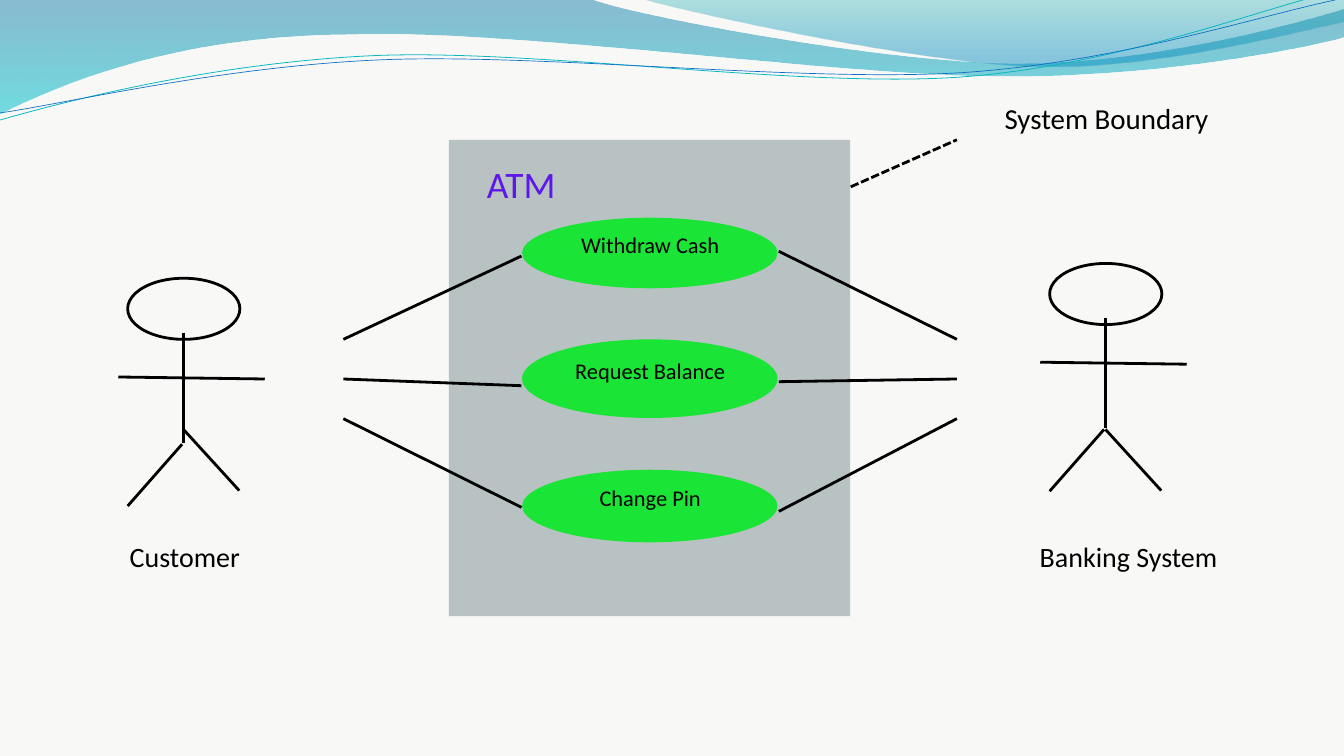
from dataclasses import dataclass
from math import cos, radians, sin

from lxml.etree import SubElement
from pptx import Presentation
from pptx.dml.color import RGBColor
from pptx.enum.dml import MSO_LINE_DASH_STYLE as Dash
from pptx.enum.shapes import MSO_CONNECTOR as Connector, MSO_SHAPE as Preset
from pptx.enum.text import MSO_ANCHOR as Anchor, MSO_AUTO_SIZE as AutoSize, PP_ALIGN as Align
from pptx.oxml.ns import qn
from pptx.util import Inches, Pt


@dataclass(frozen=True)
class Theme:
    font: str = "Calibri"
    paper: str = "F8F8F7"
    ink: str = "000000"
    system: str = "B8C2C3"
    use_case: str = "1AE435"
    title: str = "5E17EB"
    teal_line: str = "0AB8BF"
    blue_line: str = "0F6FC6"
    # Gradient stops: position in percent, colour, opacity in percent
    wide_wave: tuple = ((0, "0074A1", 45), (100, "00C6CF", 55))
    right_wave: tuple = ((0, "00A1A9", 30), (80, "008BBF", 45))
    title_size: int = 40
    boundary_size: int = 31
    actor_size: int = 30
    use_case_size: int = 24
    stroke: int = 3


def rgb(code):
    return RGBColor.from_string(code)


def turn(point, center, degrees):
    """Turn a point clockwise about a center."""
    dx, dy = point[0] - center[0], point[1] - center[1]
    c, s = cos(radians(degrees)), sin(radians(degrees))
    return center[0] + dx * c - dy * s, center[1] + dx * s + dy * c


def bend(shape, steps):
    """Join each run of three line segments into one cubic curve."""
    outline = next(shape.element.spPr.iter(qn("a:path")))
    segments = iter(outline.findall(qn("a:lnTo")))
    for step in steps:
        first, *others = [next(segments) for _ in step]
        if not others:
            continue
        first.tag = qn("a:cubicBezTo")
        for segment in others:
            first.append(segment[0])
            outline.remove(segment)


def write(box, text, *, size, font, color, spacing=1.2):
    para = box.text_frame.paragraphs[0]
    para.alignment = Align.CENTER
    para.line_spacing = Pt(size * spacing)
    span = para.add_run()
    span.text = text
    span.font.name = font
    span.font.size = Pt(size)
    span.font.color.rgb = rgb(color)


class Sketch:
    def __init__(self, page, theme):
        self.page, self.theme = page, theme
        page.background.fill.solid()
        page.background.fill.fore_color.rgb = rgb(theme.paper)

    def paint(self, shape, fill=None, line=None, width=None):
        shape.shadow.inherit = False
        if fill:
            shape.fill.solid()
            shape.fill.fore_color.rgb = rgb(fill)
        else:
            shape.fill.background()
        if line:
            shape.line.color.rgb = rgb(line)
            shape.line.width = Pt(width or self.theme.stroke)
        else:
            shape.line.fill.background()

    def shape(self, preset, left, top, width, height, **style):
        shape = self.page.shapes.add_shape(
            preset, Inches(left), Inches(top), Inches(width), Inches(height))
        self.paint(shape, **style)

    def curve(self, start, steps, close=False, gradient=None, tilt=0,
              center=(0, 0), **style):
        """Steps hold one point for a line and three for a cubic curve."""
        points = [start, *(point for step in steps for point in step)]
        first, *rest = [tuple(map(Inches, turn(point, center, -tilt))) for point in points]
        builder = self.page.shapes.build_freeform(*first)
        builder.add_line_segments(rest, close=close)
        shape = builder.convert_to_shape()
        shape.rotation = tilt
        bend(shape, steps)
        self.paint(shape, **style)
        if gradient:
            shape.fill.gradient()
            shape.fill.gradient_angle = 270
            for stop, (position, color, _) in zip(shape.fill.gradient_stops, gradient):
                stop.color.rgb = rgb(color)
                stop.position = position / 100
            colors = list(shape.element.spPr.iter(qn("a:srgbClr")))
            for node, (_, _, opacity) in zip(colors, gradient):
                SubElement(node, qn("a:alpha"), val=str(opacity * 1000))

    def line(self, start, end, dash=None):
        x1, y1, x2, y2 = map(Inches, (*start, *end))
        line = self.page.shapes.add_connector(Connector.STRAIGHT, x1, y1, x2, y2)
        line.line.color.rgb = rgb(self.theme.ink)
        line.line.width = Pt(self.theme.stroke)
        if dash:
            line.line.dash_style = dash
        SubElement(line.element.spPr, qn("a:effectLst"))

    def text(self, text, left, top, width, height, *, size, color=None,
             inset=0, anchor=Anchor.TOP, grow=True, spacing=1.2):
        box = self.page.shapes.add_textbox(
            Inches(left), Inches(top), Inches(width), Inches(height))
        frame = box.text_frame
        frame.word_wrap = True
        frame.auto_size = AutoSize.SHAPE_TO_FIT_TEXT if grow else AutoSize.NONE
        frame.vertical_anchor = anchor
        frame.margin_left = frame.margin_right = Inches(inset)
        frame.margin_top = frame.margin_bottom = Inches(inset)
        write(box, text, size=size, font=self.theme.font,
              color=color or self.theme.ink, spacing=spacing)

    def use_case(self, text, top, height):
        self.shape(Preset.OVAL, 7.77, top, 3.8, height, fill=self.theme.use_case)
        self.text(text, 8.13, top - 0.22, 3.09, height + 0.12,
                  size=self.theme.use_case_size, inset=0.06,
                  anchor=Anchor.MIDDLE, grow=False, spacing=1.4)

    def actor(self, left, top):
        """Stick figure placed by the top left corner of its head."""
        limbs = (((0, 3.39), (0.81, 2.47)),       # left leg
                 ((1.66, 7.3 - top), (0.83, 6.39 - top)),  # right leg, level for all
                 ((-0.14, 1.47), (2.04, 1.5)))    # arms
        self.line((left + 0.83, top + 0.81), (left + 0.83, top + 2.45))
        self.shape(Preset.OVAL, left, top, 1.67, 0.91, line=self.theme.ink)
        for (x1, y1), (x2, y2) in limbs:
            self.line((left + x1, top + y1), (left + x2, top + y2))


def main():
    theme = Theme()
    deck = Presentation()
    deck.slide_width, deck.slide_height = Inches(20), Inches(11.25)
    sketch = Sketch(deck.slides.add_slide(deck.slide_layouts[6]), theme)

    # Waves along the top
    sketch.curve((0, -0.01), [
        [(8.81, -0.01)],
        [(9.51, 0.25), (13.27, 0.94), (15.17, 0.94)],
        [(17.06, 0.94), (19.17, 0.38), (20, 0.13)],
        [(20.02, 0.54)],
        [(19.67, 0.66), (17.4, 1.14), (14.92, 1.13)],
        [(12.44, 1.13), (7.64, 0.42), (5.15, 0.51)],
        [(2.58, 0.53), (0.92, 1.24), (-0.02, 1.7)],
    ], close=True, gradient=theme.wide_wave)
    sketch.curve((9.58, -0.01), [
        [(10.19, 0.17), (13.64, 0.93), (15.38, 0.98)],
        [(17.11, 1.04), (19.23, 0.48), (20, 0.32)],
        [(20, 0)],
    ], close=True, gradient=theme.right_wave)
    sketch.curve((-0.01, 1.79), [
        [(0.96, 1.51), (3.16, 0.94), (5.53, 0.83)],
        [(7.91, 0.72), (11.84, 1.31), (14.25, 1.15)],
        [(16.65, 0.98), (18.77, 0.12), (19.96, -0.15)],
    ], tilt=-2.7, center=(9.98, 0.86), line=theme.teal_line, width=0.85)
    sketch.curve((0, 1.68), [
        [(0.94, 1.55), (3.28, 0.99), (5.67, 0.89)],
        [(8.05, 0.79), (11.94, 1.23), (14.33, 1.08)],
        [(16.72, 0.92), (18.83, 0.2), (20.01, -0.03)],
    ], tilt=-2.7, center=(10, 0.88), line=theme.blue_line, width=0.75)

    # System and its use cases
    sketch.shape(Preset.RECTANGLE, 6.68, 2.08, 5.97, 7.09, fill=theme.system)
    for name, top, height in (("Withdraw Cash", 3.24, 1.05),
                              ("Change Pin", 6.99, 1.08),
                              ("Request Balance", 5.05, 1.17)):
        sketch.use_case(name, top, height)

    # Actors
    for left, top in ((1.9, 4.14), (15.62, 3.92)):
        sketch.actor(left, top)
    for name, left, width in (("Customer", 1.14, 3.22), ("Banking System", 14.71, 4.17)):
        sketch.text(name, left, 8.03, width, 0.55, size=theme.actor_size)

    # Boundary label
    sketch.line((12.66, 2.78), (14.24, 2.08), dash=Dash.SQUARE_DOT)
    sketch.text("System Boundary", 13.81, 1.49, 5.31, 0.55, size=theme.boundary_size)

    # Links from actors to use cases
    actor_ends = (5.05, 5.64, 6.23)
    for actor_x, case_x, case_ends in ((5.11, 7.76, (3.81, 5.74, 7.55)),
                                       (14.24, 11.59, (3.74, 5.68, 7.61))):
        for actor_y, case_y in zip(actor_ends, case_ends):
            sketch.line(*sorted(((actor_x, actor_y), (case_x, case_y))))

    # System title
    sketch.text("ATM", 7.1, 2.4, 1.31, 0.71, size=theme.title_size, color=theme.title)

    deck.save("out.pptx")


if __name__ == "__main__":
    main()
